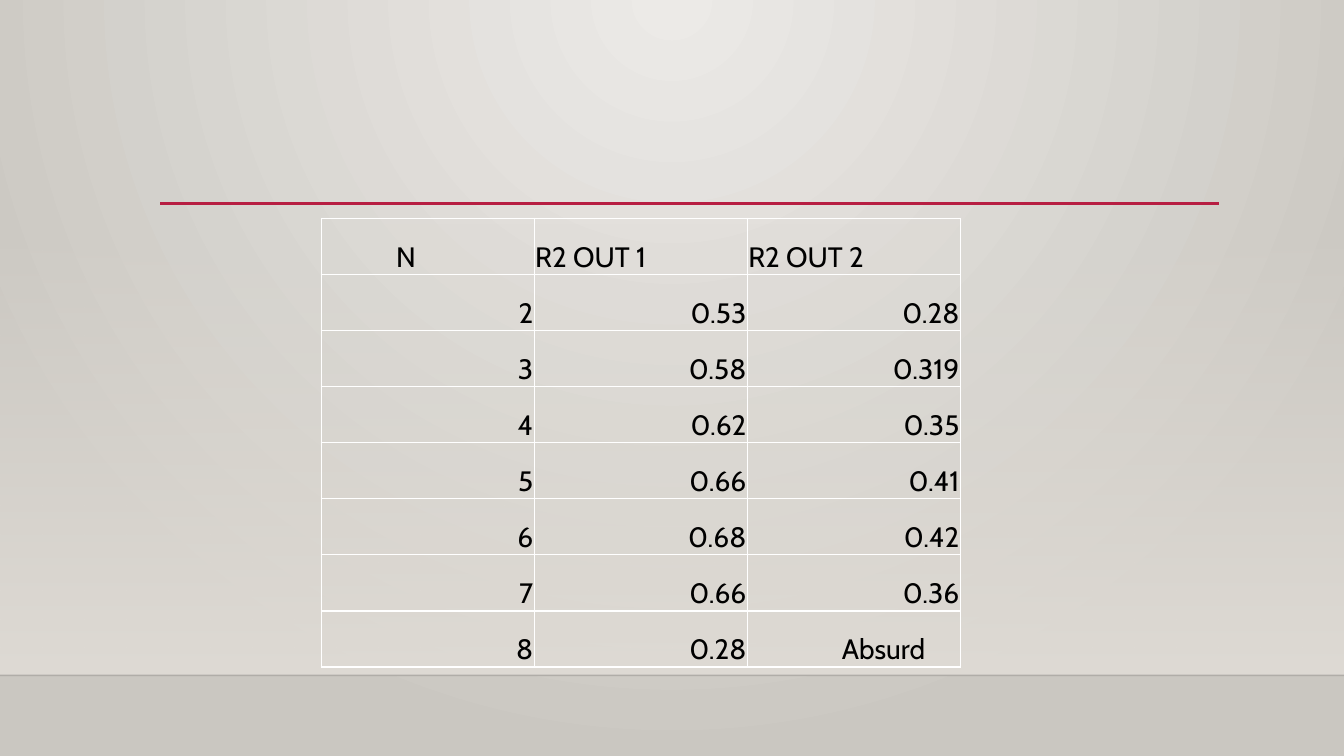
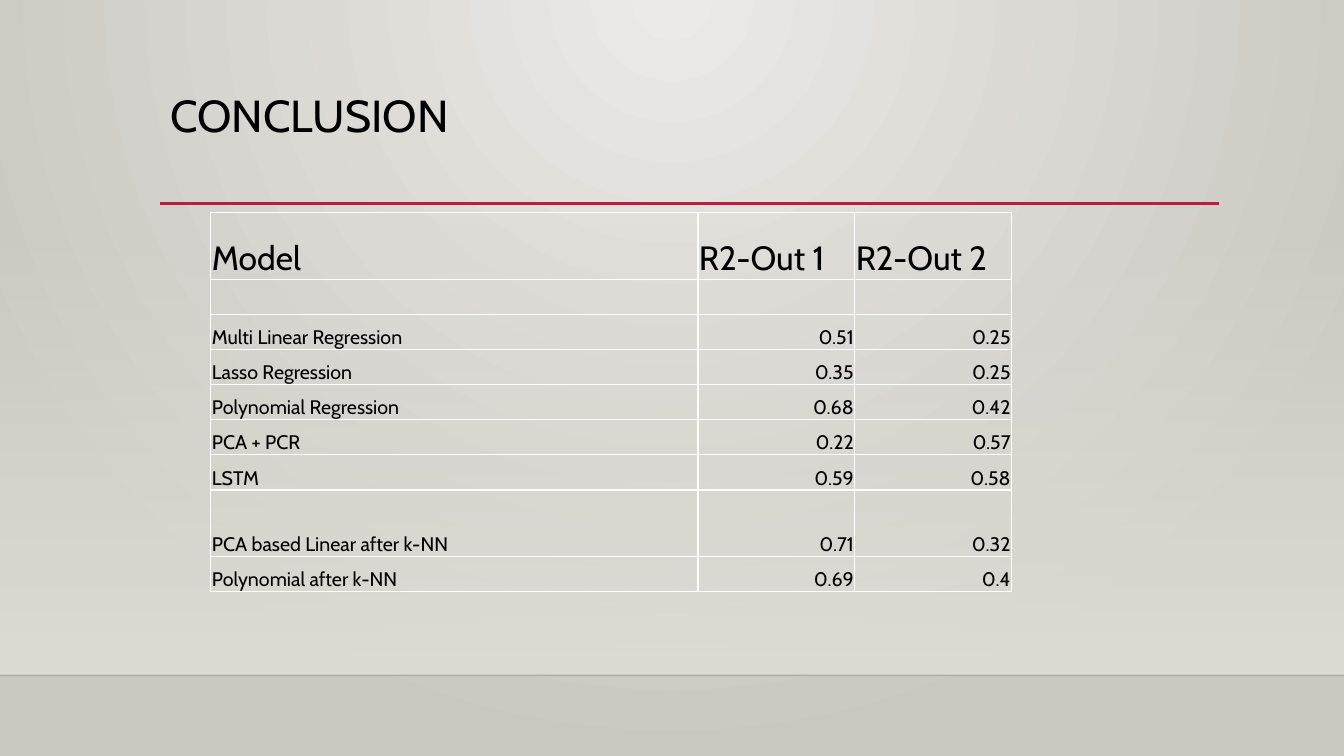
from lxml.etree import SubElement
from pptx import Presentation
from pptx.dml.color import RGBColor
from pptx.enum.shapes import MSO_CONNECTOR, MSO_SHAPE
from pptx.enum.text import MSO_ANCHOR, PP_ALIGN
from pptx.oxml.ns import qn
from pptx.util import Pt

FONT = "Cabin"
BLACK = RGBColor(0x00, 0x00, 0x00)
WHITE = RGBColor(0xFF, 0xFF, 0xFF)
CRIMSON = RGBColor(0xB7, 0x1E, 0x42)
PALE_STONE = RGBColor(0xEC, 0xEA, 0xE7)
DARK_STONE = RGBColor(0xCA, 0xC7, 0xC1)
SAND = RGBColor(0xDF, 0xDB, 0xD5)

WIDTH, HEIGHT = 960, 540
FLOOR = 482.4
TITLE_LEFT, TITLE_TOP, TITLE_WIDTH, TITLE_HEIGHT = 114.5, 63.4, 756, 82.4
RULE_TOP, RULE_RIGHT = 145.4, 871
TITLE_ONLY, BLANK = 5, 6
BORDERS = ("a:lnL", "a:lnR", "a:lnT", "a:lnB")


def set_alpha(color_element, percent):
    SubElement(color_element, qn("a:alpha"), val=str(percent * 1000))


def set_stops(fill, *colors):
    fill.gradient()
    for stop, color in zip(fill.gradient_stops, colors):
        stop.color.rgb = color
    for position, stop in enumerate(fill.gradient_stops):
        stop.position = position


class Deck:
    """Holds the shared style and the slide being built."""

    def __init__(self):
        self.presentation = Presentation()
        self.presentation.slide_width = Pt(WIDTH)
        self.presentation.slide_height = Pt(HEIGHT)
        self.slide = None
        self.set_background()

    def set_background(self):
        """Give the master a gradient that spreads from the top centre."""
        master = self.presentation.slide_master
        set_stops(master.background.fill, PALE_STONE, DARK_STONE)
        gradient = next(master.element.iter(qn("a:gradFill")))
        gradient.remove(gradient.find(qn("a:lin")))
        circle = SubElement(gradient, qn("a:path"), path="circle")
        SubElement(circle, qn("a:fillToRect"), l="43000", t="0", r="43000", b="100000")

    def add_slide(self, title=None):
        layout = self.presentation.slide_layouts[TITLE_ONLY if title else BLANK]
        self.slide = self.presentation.slides.add_slide(layout)
        self.add_band()
        floor_line = self.add_line(0, WIDTH, FLOOR, BLACK, 1)
        set_alpha(next(floor_line.line._ln.iter(qn("a:srgbClr"))), 20)
        self.add_line(TITLE_LEFT, RULE_RIGHT, RULE_TOP, CRIMSON, 2.5)
        if title:
            self.set_title(title)

    def add_band(self):
        """Fade from clear to sand down to the floor line."""
        top = 159
        band = self.slide.shapes.add_shape(
            MSO_SHAPE.RECTANGLE, 0, Pt(top), Pt(WIDTH), Pt(FLOOR - top))
        band.shadow.inherit = False
        band.line.fill.background()
        set_stops(band.fill, SAND, SAND)
        band.fill.gradient_angle = 270
        set_alpha(next(band.element.spPr.iter(qn("a:srgbClr"))), 0)

    def add_line(self, left, right, top, color, weight):
        line = self.slide.shapes.add_connector(
            MSO_CONNECTOR.STRAIGHT, Pt(left), Pt(top), Pt(right), Pt(top))
        line.line.color.rgb = color
        line.line.width = Pt(weight)
        SubElement(line.element.spPr, qn("a:effectLst"))
        return line

    def set_title(self, text):
        title = self.slide.shapes.title
        title.left, title.top = Pt(TITLE_LEFT), Pt(TITLE_TOP)
        title.width, title.height = Pt(TITLE_WIDTH), Pt(TITLE_HEIGHT)
        frame = title.text_frame
        frame.text = text
        frame.vertical_anchor = MSO_ANCHOR.TOP
        paragraph = frame.paragraphs[0]
        paragraph.alignment = PP_ALIGN.LEFT
        paragraph.line_spacing = 0.9
        self.set_font(paragraph, 32)

    def set_font(self, paragraph, size):
        font = paragraph.font
        font.name, font.size, font.bold = FONT, Pt(size), False
        font.color.rgb = BLACK

    def add_table(self, left, top, widths, heights, rows, header_size, body_size):
        frame = self.slide.shapes.add_table(
            len(rows), len(widths), Pt(left), Pt(top), Pt(sum(widths)), Pt(sum(heights)))
        table = frame.table
        table.first_row = table.horz_banding = False
        for column, width in zip(table.columns, widths):
            column.width = Pt(width)
        for index, (height, texts) in enumerate(zip(heights, rows)):
            table.rows[index].height = Pt(height)
            for column, text in enumerate(texts):
                self.set_cell(table.cell(index, column), text,
                              body_size if index else header_size)
        return table

    def set_cell(self, cell, text, size):
        """Numbers go to the right, words to the left."""
        cell.text = text
        cell.vertical_anchor = MSO_ANCHOR.BOTTOM
        cell.margin_left = cell.margin_right = cell.margin_top = Pt(0.7)
        cell.margin_bottom = 0
        paragraph = cell.text_frame.paragraphs[0]
        is_number = text.replace(".", "").isdigit()
        paragraph.alignment = PP_ALIGN.RIGHT if is_number else PP_ALIGN.LEFT
        self.set_font(paragraph, size)
        properties = cell._tc.get_or_add_tcPr()
        for tag in BORDERS:
            border = SubElement(properties, qn(tag), w=str(Pt(1)))
            fill = SubElement(border, qn("a:solidFill"))
            SubElement(fill, qn("a:srgbClr"), val=str(WHITE))
        cell.fill.background()


def build_neighbours_slide(deck):
    deck.add_slide()
    rows = [
        ("N", "R2 OUT 1", "R2 OUT 2"),
        ("2", "0.53", "0.28"),
        ("3", "0.58", "0.319"),
        ("4", "0.62", "0.35"),
        ("5", "0.66", "0.41"),
        ("6", "0.68", "0.42"),
        ("7", "0.66", "0.36"),
        ("8", "0.28", "Absurd"),
    ]
    table = deck.add_table(229.4, 155.8, [152.2] * 3, [40.1] * len(rows), rows, 20, 20)
    table.cell(0, 0).margin_left = Pt(53.5)
    table.cell(7, 2).margin_left = Pt(67.5)


def build_conclusion_slide(deck):
    deck.add_slide("CONCLUSION")
    rows = [
        ("Model", "R2-Out 1", "R2-Out 2"),
        ("", "", ""),
        ("Multi Linear Regression", "0.51", "0.25"),
        ("Lasso Regression", "0.35", "0.25"),
        ("Polynomial Regression", "0.68", "0.42"),
        ("PCA + PCR", "0.22", "0.57"),
        ("LSTM", "0.59", "0.58"),
        ("PCA based Linear after k-NN", "0.71", "0.32"),
        ("Polynomial after k-NN", "0.69", "0.4"),
    ]
    tall, short = 47.5, 25.1
    heights = [tall] + [short] * 6 + [tall, short]
    deck.add_table(150.6, 152, [348, 112, 112], heights, rows, 24, 14)


def main():
    deck = Deck()
    build_neighbours_slide(deck)
    build_conclusion_slide(deck)
    deck.presentation.save("out.pptx")


if __name__ == "__main__":
    main()
